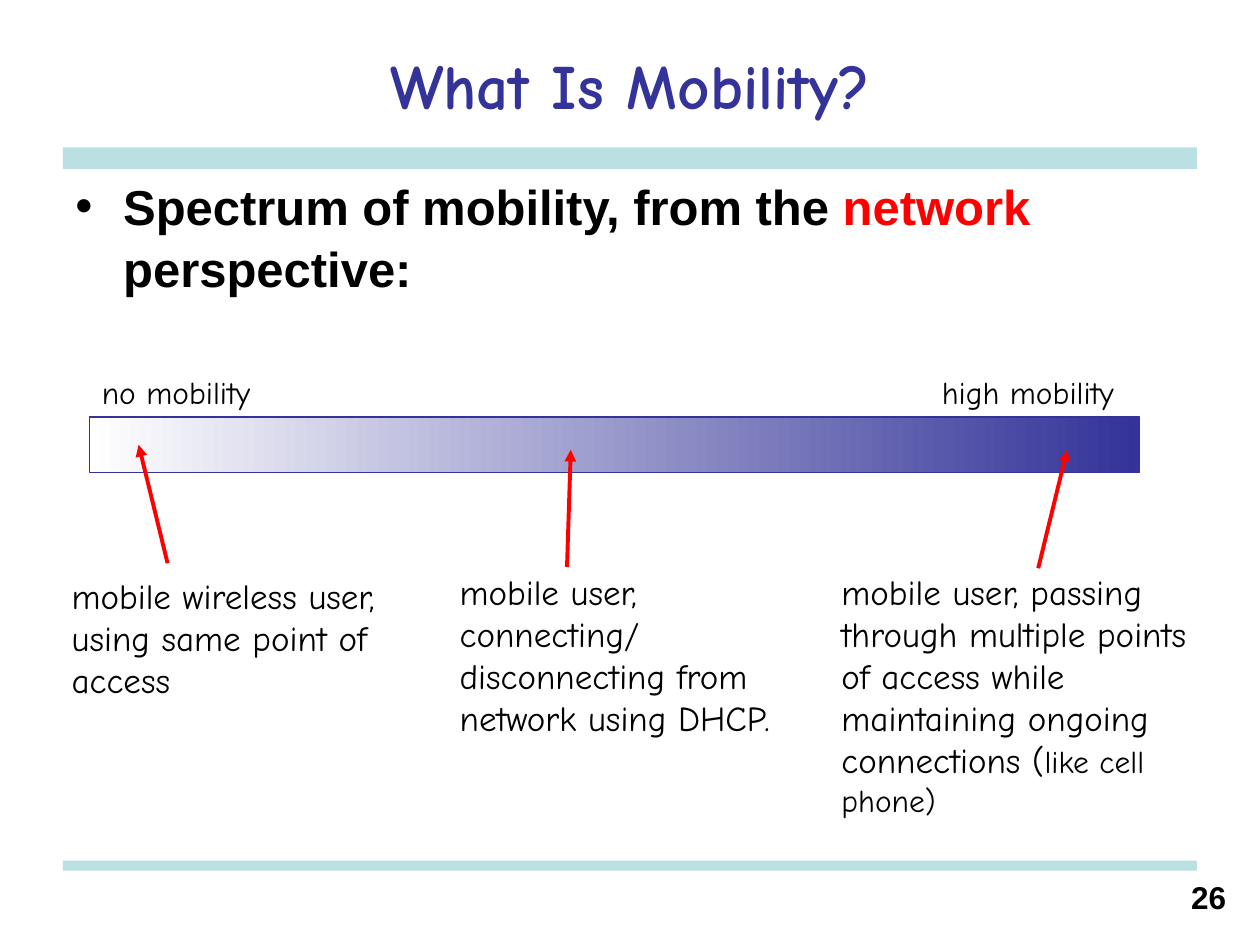
from lxml.etree import SubElement
from pptx import Presentation
from pptx.dml.color import RGBColor
from pptx.enum.shapes import MSO_CONNECTOR as Connector, MSO_SHAPE as Shape
from pptx.enum.text import MSO_ANCHOR as Anchor, PP_ALIGN as Align
from pptx.oxml.ns import qn
from pptx.util import Inches, Pt

WIDTH, HEIGHT = 10, 7.5
MARGIN = 0.05 * WIDTH
CONTENT = WIDTH - 2 * MARGIN
HEADING, HAND = "Arial", "Comic Neue"
COLORS = {"ink": "000000", "indigo": "333399", "accent": "FF0000",
          "rule": "BBE0E3", "white": "FFFFFF"}


def color(key):
    return RGBColor.from_string(COLORS[key])


def add_text(slide, box, paragraphs, font=HAND, bold=False, align=Align.LEFT,
             anchor=Anchor.TOP):
    """Each paragraph is a list of (text, size, colour key) runs."""
    frame = slide.shapes.add_textbox(*map(Inches, box)).text_frame
    frame.word_wrap = True
    frame.vertical_anchor = anchor
    for index, runs in enumerate(paragraphs):
        paragraph = frame.add_paragraph() if index else frame.paragraphs[0]
        paragraph.alignment = align
        for text, size, ink in runs:
            run = paragraph.add_run()
            run.text = text
            run.font.name, run.font.size, run.font.bold = font, Pt(size), bold
            run.font.color.rgb = color(ink)
    return frame


def add_bar(slide, box):
    bar = slide.shapes.add_shape(Shape.RECTANGLE, *map(Inches, box))
    bar.shadow.inherit = False
    return bar


def add_rule(slide, box):
    rule = add_bar(slide, box)
    rule.fill.solid()
    rule.fill.fore_color.rgb = color("rule")
    rule.line.fill.background()


def add_arrow(slide, start, end):
    arrow = slide.shapes.add_connector(
        Connector.STRAIGHT, *map(Inches, (*start, *end)))
    arrow.line.color.rgb = color("accent")
    arrow.line.width = Pt(2.25)
    SubElement(arrow.line._get_or_add_ln(), qn("a:tailEnd"), type="triangle")
    SubElement(arrow._element.spPr, qn("a:effectLst"))


def add_header(slide, box):
    left, top, width, height = box
    add_rule(slide, (left, top + height, width, 0.17))
    add_text(slide, box, [[("What Is Mobility?", 36, "indigo")]],
             bold=True, align=Align.CENTER, anchor=Anchor.MIDDLE)


def add_statement(slide, box):
    frame = add_text(slide, box, [[
        ("Spectrum of mobility, from the ", 28, "ink"),
        ("network", 28, "accent"),
        (" perspective:", 28, "ink")]], HEADING, bold=True)
    paragraph = frame.paragraphs[0]
    paragraph.line_spacing = 1.05
    properties = paragraph._p.get_or_add_pPr()
    indent = Inches(0.38)
    properties.set("marL", str(indent))
    properties.set("indent", str(-indent))
    SubElement(properties, qn("a:buFont"), typeface=HEADING)
    SubElement(properties, qn("a:buChar"), char="•")


def add_spectrum(slide, box):
    left, top, width, height = box
    bar = add_bar(slide, box)
    bar.fill.gradient()
    bar.fill.gradient_angle = 0
    for stop, position, key in zip(bar.fill.gradient_stops, (0, 1),
                                   ("white", "indigo")):
        stop.position = position
        stop.color.rgb = color(key)
    bar.line.color.rgb = color("indigo")
    bar.line.width = Pt(0.75)

    label_top = top - 0.4
    add_text(slide, (left, label_top, 1.47, 0.4),
             [[("no mobility", 18, "ink")]])
    add_text(slide, (left + 0.8 * width, label_top, 1.69, 0.4),
             [[("high mobility", 18, "ink")]])


def add_case(slide, box, paragraphs, tail, head):
    """A kind of user, with an arrow to its place on the spectrum.

    The arrow's ends are offsets from the box's top left corner.
    """
    left, top = box[:2]
    add_text(slide, box, paragraphs)
    add_arrow(slide, *((left + x, top + y) for x, y in (tail, head)))


def add_footer(slide, box):
    left, top, width, height = box
    add_rule(slide, (left, top, width, 0.08))
    add_text(slide, (left + width - 0.34, top + 0.09, 0.67, 0.42),
             [[("26", 18, "ink")]], HEADING, bold=True, align=Align.RIGHT)


def main():
    deck = Presentation()
    deck.slide_width, deck.slide_height = Inches(WIDTH), Inches(HEIGHT)
    slide = deck.slides.add_slide(deck.slide_layouts[6])

    add_header(slide, (MARGIN, 0.17, CONTENT, 1))
    add_statement(slide, (MARGIN, 1.33, CONTENT, 1.2))
    add_spectrum(slide, (0.71, 3.31, WIDTH / 1.2, 0.44))
    cases = [
        ((0.47, 4.51, 2.91, 1.11),
         [[("mobile wireless user,", 20, "ink")],
          [("using same point of access", 20, "ink")]],
         (0.86, -0.04), (0.63, -0.98)),
        ((3.55, 4.48, 2.66, 1.77),
         [[("mobile user, connecting/ disconnecting from network using DHCP.",
            20, "ink")]],
         (0.95, 0.02), (0.98, -0.91)),
        ((6.58, 4.48, 3.12, 2.12),
         [[("mobile user, passing through multiple points of access while "
            "maintaining ongoing connections (", 20, "ink"),
           ("like cell phone)", 18, "ink")]],
         (1.66, 0.03), (1.89, -0.91)),
    ]
    for case in cases:
        add_case(slide, *case)
    add_footer(slide, (MARGIN, 6.83, CONTENT, 0.6))
    deck.save("out.pptx")


if __name__ == "__main__":
    main()
